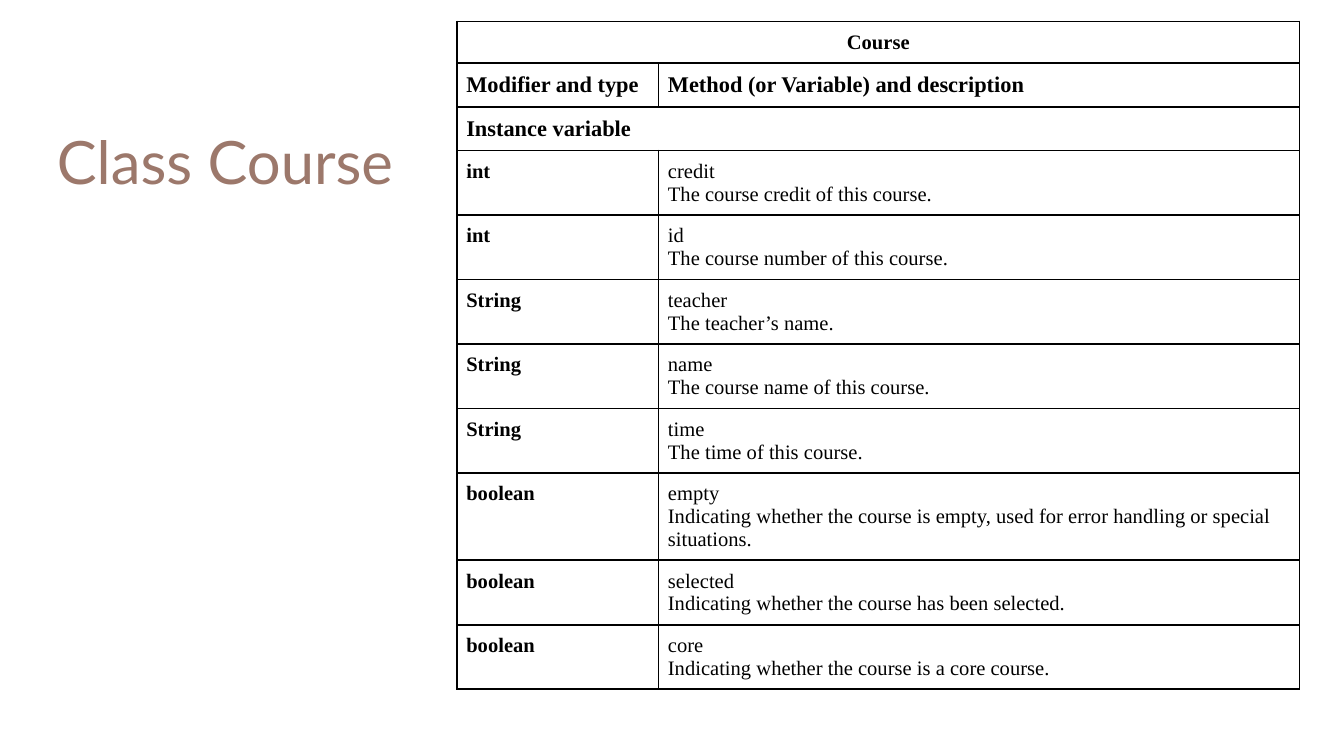
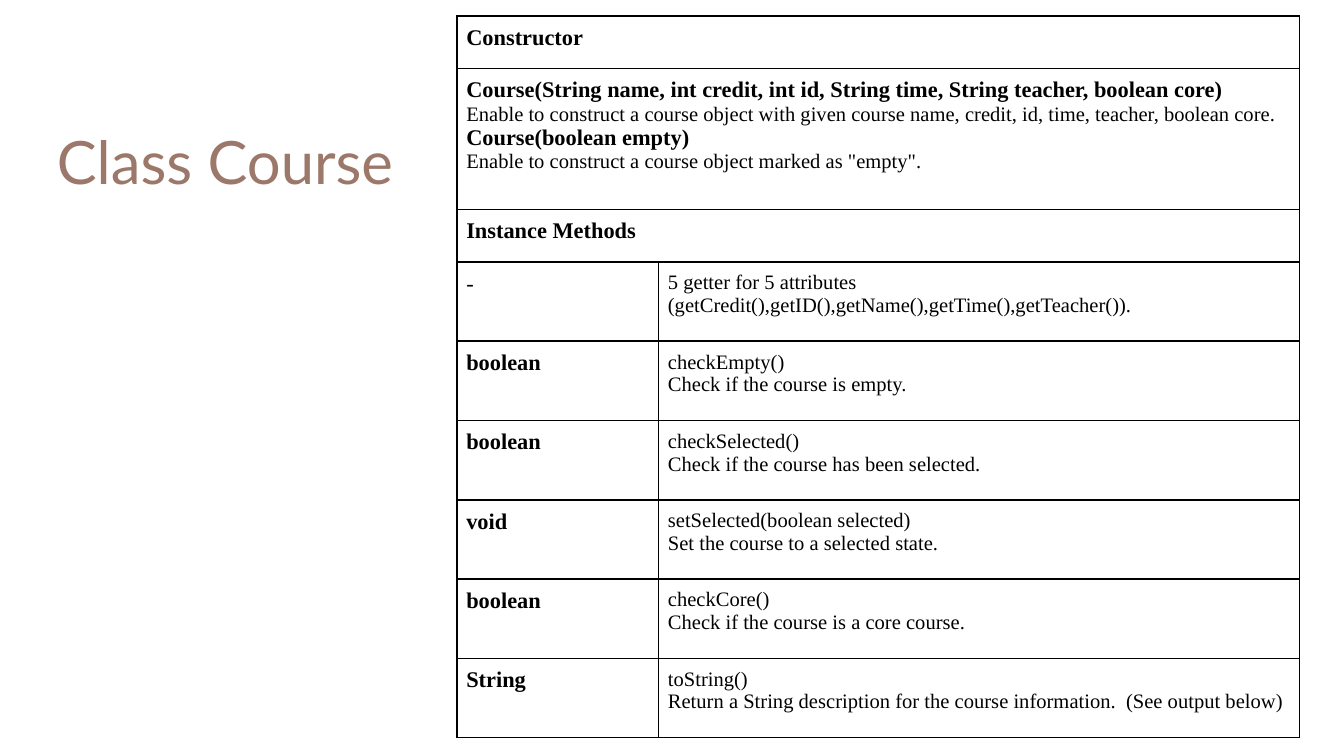
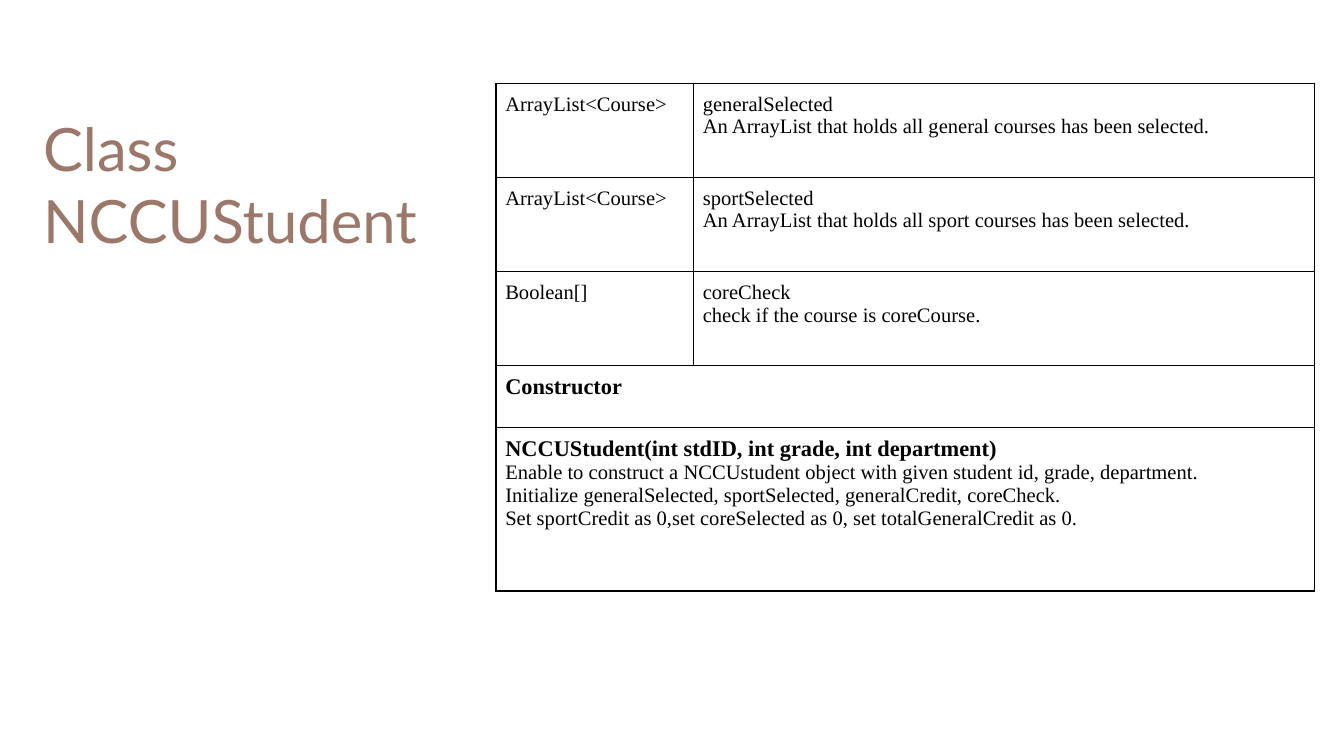
from lxml import etree
from pptx import Presentation
from pptx.dml.color import RGBColor
from pptx.enum.text import MSO_ANCHOR as ANCHOR, MSO_AUTO_SIZE as AUTO_SIZE, PP_ALIGN as ALIGN
from pptx.oxml.ns import qn
from pptx.util import Inches, Pt

BLACK, WHITE, BROWN = "000000", "FFFFFF", "9C786B"
SLIDE_WIDTH = Inches(10)
SLIDE_HEIGHT = SLIDE_WIDTH * 9 // 16
FIT = 0.01  # row height that grows to its text
TITLE = dict(size=Pt(32), bold=False, name="Lato")
HEAD = dict(size=Pt(12), bold=True, name="Times New Roman")
DASH = {**HEAD, "bold": False}
LABEL = {**HEAD, "size": Pt(11)}
BODY = {**LABEL, "bold": False}
COURSE_TITLE = (-0.65, 0.83, 4.65, 0.73)
COURSE_COLS = (1.5, 4.77)


def rgb(hex_color):
    return RGBColor.from_string(hex_color)


def set_attrs(obj, values):
    for key, value in values.items():
        setattr(obj, key, value)


def set_margins(obj, inches):
    set_attrs(obj, {f"margin_{side}": Inches(inches)
                    for side in ("left", "right", "top", "bottom")})


def write(tf, lines, color, align):
    """Fill a text frame with (text, style) lines, one paragraph each."""
    for i, (text, style) in enumerate(lines):
        p = tf.paragraphs[0] if i == 0 else tf.add_paragraph()
        p.alignment = align
        r = p.add_run()
        r.text = text
        set_attrs(r.font, style)
        r.font.color.rgb = rgb(color)


def add_borders(cell, color=BLACK, width=Pt(1)):
    tc_pr = cell._tc.get_or_add_tcPr()
    for side in ("a:lnL", "a:lnR", "a:lnT", "a:lnB"):
        ln = etree.SubElement(tc_pr, qn(side), w=str(width))
        fill = etree.SubElement(ln, qn("a:solidFill"))
        etree.SubElement(fill, qn("a:srgbClr"), val=color)


def add_title(s, box, lines, align):
    sp = s.shapes.title
    set_attrs(sp, dict(zip(("left", "top", "width", "height"), map(Inches, box))))
    tf = sp.text_frame
    set_attrs(tf, dict(auto_size=AUTO_SIZE.NONE, word_wrap=True, vertical_anchor=ANCHOR.MIDDLE))
    set_margins(tf, 0.1)
    write(tf, [(line, TITLE) for line in lines], BROWN, align)


def add_class_table(s, left, top, cols, heights, rows):
    """Draw rows of cells; a row with a single cell spans the whole table."""
    frame = s.shapes.add_table(len(rows), len(cols), Inches(left), Inches(top),
                               Inches(sum(cols)), Inches(sum(heights)))
    table = frame.table
    set_attrs(table, dict(first_row=False, horz_banding=False))
    for column, width in zip(table.columns, cols):
        column.width = Inches(width)
    for i, (height, row) in enumerate(zip(heights, rows)):
        table.rows[i].height = Inches(height)
        for cell in table.rows[i].cells:
            set_margins(cell, 0.07)
            add_borders(cell)
            cell.fill.solid()
            cell.fill.fore_color.rgb = rgb(WHITE)
        if len(row) == 1:
            table.cell(i, 0).merge(table.cell(i, len(cols) - 1))
        for j, lines in enumerate(row):
            write(table.cell(i, j).text_frame, lines, BLACK, ALIGN.LEFT)
    return table


def heading(*texts):
    """Make a row of bold cells, one per text."""
    return [[(text, HEAD)] for text in texts]


def member(kind, *texts, style=LABEL):
    """Make a row with a type and the lines that describe the member."""
    return [[(kind, style)], [(text, BODY) for text in texts]]


def add_variables_slide(s):
    add_title(s, COURSE_TITLE, ["Class Course"], ALIGN.CENTER)
    rows = [
        [[("Course", LABEL)]],
        heading("Modifier and type", "Method (or Variable) and description"),
        heading("Instance variable"),
        member("int", "credit", "The course credit of this course."),
        member("int", "id", "The course number of this course."),
        member("String", "teacher", "The teacher’s name."),
        member("String", "name", "The course name of this course."),
        member("String", "time", "The time of this course."),
        member("boolean", "empty", "Indicating whether the course is empty, "
               "used for error handling or special situations."),
        member("boolean", "selected", "Indicating whether the course has been selected."),
        member("boolean", "core", "Indicating whether the course is a core course."),
    ]
    heights = [0.29, FIT, 0.29] + [FIT] * 8
    table = add_class_table(s, 3.4, 0.16, COURSE_COLS, heights, rows)
    table.cell(0, 0).text_frame.paragraphs[0].alignment = ALIGN.CENTER


def add_methods_slide(s):
    add_title(s, COURSE_TITLE, ["Class Course"], ALIGN.CENTER)
    constructors = [
        ("Course(String name, int credit, int id, String time, String teacher, boolean core)", HEAD),
        ("Enable to construct a course object with given course name, credit, id, time, "
         "teacher, boolean core.", BODY),
        ("Course(boolean empty)", HEAD),
        ('Enable to construct a course object marked as "empty".', BODY),
    ]
    methods = [
        ("boolean", "checkEmpty()", "Check if the course is empty."),
        ("boolean", "checkSelected()", "Check if the course has been selected."),
        ("void", "setSelected(boolean selected)", "Set the course to a selected state."),
        ("boolean", "checkCore()", "Check if the course is a core course."),
        ("String", "toString()",
         "Return a String description for the course information.  (See output below)"),
    ]
    rows = [
        heading("Constructor"),
        [constructors],
        heading("Instance Methods"),
        member("-", "5 getter for 5 attributes "
               "(getCredit(),getID(),getName(),getTime(),getTeacher()).", style=DASH),
        *(member(*method, style=HEAD) for method in methods),
    ]
    heights = [0.39, 1.05, 0.39] + [0.59] * 6
    add_class_table(s, 3.4, 0.12, COURSE_COLS, heights, rows)


def add_student_slide(s):
    add_title(s, (0.22, 1, 4.99, 0.73), ["Class", "NCCUStudent"], ALIGN.LEFT)
    constructor = [
        ("NCCUStudent(int stdID, int grade, int department)", HEAD),
        ("Enable to construct a NCCUstudent object with given student id, grade, department.", BODY),
        ("Initialize generalSelected, sportSelected, generalCredit, coreCheck.", BODY),
        ("Set sportCredit as 0,set coreSelected as 0, set totalGeneralCredit as 0.", BODY),
    ]
    variables = [
        ("ArrayList<Course>", "generalSelected",
         "An ArrayList that holds all general courses has been selected."),
        ("ArrayList<Course>", "sportSelected",
         "An ArrayList that holds all sport courses has been selected."),
        ("Boolean[]", "coreCheck", "check if the course is coreCourse."),
    ]
    rows = [
        *(member(*variable, style=BODY) for variable in variables),
        heading("Constructor"),
        [constructor],
    ]
    heights = [0.7] * 3 + [0.46, 1.22]
    add_class_table(s, 3.69, 0.62, (1.47, 4.62), heights, rows)


def main():
    prs = Presentation()
    set_attrs(prs, dict(slide_width=SLIDE_WIDTH, slide_height=SLIDE_HEIGHT))
    title_only = prs.slide_layouts[5]
    for build in (add_variables_slide, add_methods_slide, add_student_slide):
        build(prs.slides.add_slide(title_only))
    prs.save("out.pptx")


if __name__ == "__main__":
    main()
